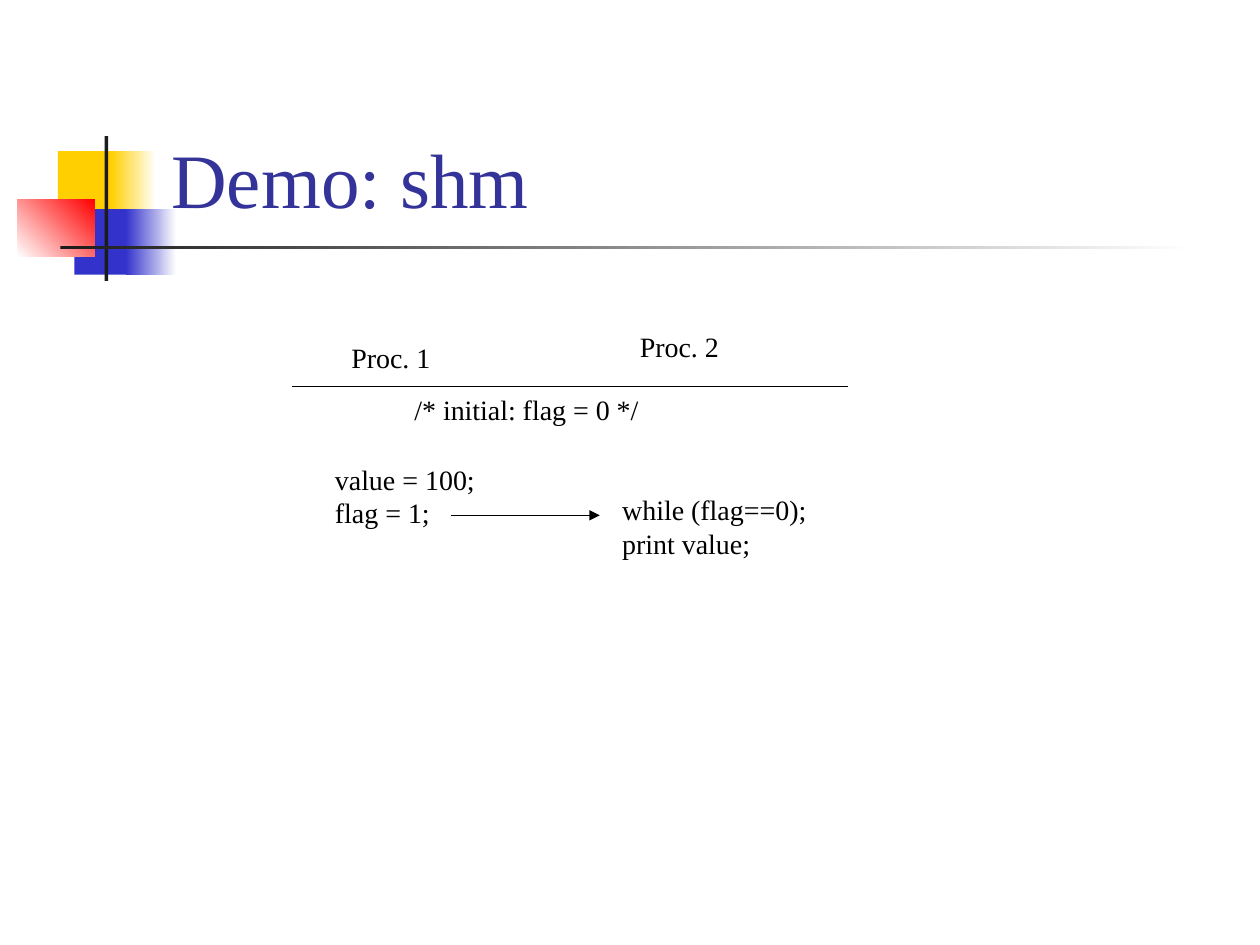
from typing import NamedTuple, Optional

from pptx import Presentation
from pptx.dml.color import RGBColor
from pptx.enum import shapes, text
from pptx.oxml import parse_xml
from pptx.oxml.ns import nsdecls
from pptx.util import Inches, Pt

WHITE = RGBColor(0xFF, 0xFF, 0xFF)
BLACK = RGBColor(0, 0, 0)
YELLOW = RGBColor(0xFF, 0xCF, 0x01)
BLUE = RGBColor(0x33, 0x33, 0xCC)
RED = RGBColor(0xFF, 0, 0)
CHARCOAL = RGBColor(0x1C, 0x1C, 0x1C)
INDIGO = RGBColor(0x33, 0x33, 0x99)
FONT = "Times New Roman"


class Block(NamedTuple):
    left: float
    top: float
    width: float
    height: float
    color: RGBColor
    fade_to: Optional[RGBColor] = None
    angle: float = 0


class Label(NamedTuple):
    left: float
    top: float
    width: float
    height: float
    lines: tuple[str, ...]
    wrap: bool = False


class Rule(NamedTuple):
    left: float
    right: float
    y: float
    arrow: bool = False


EMBLEM = (
    Block(0.46, 1.2, 0.48, 0.52, YELLOW),
    Block(0.88, 1.2, 0.36, 0.52, YELLOW, WHITE),
    Block(0.59, 1.66, 0.46, 0.52, BLUE),
    Block(1, 1.66, 0.4, 0.52, BLUE, WHITE),
    Block(0.14, 1.58, 0.61, 0.46, WHITE, RED, 45),
    Block(0.83, 1.08, 0.03, 1.15, CHARCOAL),
    Block(0.48, 1.95, 9, 0.03, CHARCOAL, WHITE),
)
LABELS = (
    Label(2.56, 3.62, 1.32, 0.64, ("value = 100;", "flag = 1;"), True),
    Label(4.84, 3.86, 1.67, 0.64, ("while (flag==0);", "print value;")),
    Label(2.69, 2.65, 0.83, 0.37, ("Proc. 1",)),
    Label(4.98, 2.57, 0.83, 0.37, ("Proc. 2",)),
    Label(3.19, 3.07, 1.99, 0.37, ("/* initial: flag = 0 */",)),
)
RULES = (Rule(2.32, 6.73, 3.07), Rule(3.58, 4.76, 4.09, True))


def draw_block(slide, block: Block) -> None:
    """Draw a borderless rectangle with a solid or fading fill."""
    rect = slide.shapes.add_shape(
        shapes.MSO_SHAPE.RECTANGLE, *(Inches(v) for v in block[:4]))
    rect.shadow.inherit = False
    rect.line.fill.background()
    if block.fade_to is None:
        rect.fill.solid()
        rect.fill.fore_color.rgb = block.color
        return
    rect.fill.gradient()
    rect.fill.gradient_angle = block.angle
    stops = rect.fill.gradient_stops
    for stop, position, color in zip(stops, (0, 1), (block.color, block.fade_to)):
        stop.position = position
        stop.color.rgb = color


def write_run(paragraph, words: str, size: float, color: RGBColor) -> None:
    """Add one left-aligned run to a paragraph."""
    paragraph.alignment = text.PP_ALIGN.LEFT
    run = paragraph.add_run()
    run.text = words
    run.font.name = FONT
    run.font.size = Pt(size)
    run.font.color.rgb = color


def draw_label(slide, label: Label) -> None:
    """Draw a text box with one paragraph per line."""
    frame = slide.shapes.add_textbox(*(Inches(v) for v in label[:4])).text_frame
    frame.word_wrap = label.wrap
    frame.auto_size = text.MSO_AUTO_SIZE.SHAPE_TO_FIT_TEXT
    for index, words in enumerate(label.lines):
        paragraph = frame.add_paragraph() if index else frame.paragraphs[0]
        write_run(paragraph, words, 16, BLACK)


def draw_rule(slide, rule: Rule) -> None:
    """Draw a thin horizontal line, optionally ending in an arrowhead."""
    line = slide.shapes.add_connector(
        shapes.MSO_CONNECTOR.STRAIGHT, Inches(rule.left), Inches(rule.y),
        Inches(rule.right), Inches(rule.y))
    line.line.color.rgb = BLACK
    line.line.width = Pt(0.75)
    if rule.arrow:
        line.line._get_or_add_ln().append(
            parse_xml(f'<a:tailEnd {nsdecls("a")} type="triangle"/>'))
    line._element.spPr.append(parse_xml(f'<a:effectLst {nsdecls("a")}/>'))


def place_title(slide, words: str) -> None:
    """Position and write the title in front of the emblem."""
    title = slide.shapes.title
    title.left, title.top = Inches(1.26), Inches(0.23)
    title.width, title.height = Inches(8.52), Inches(1.6)
    frame = title.text_frame
    frame.word_wrap = True
    frame.auto_size = text.MSO_AUTO_SIZE.NONE
    frame.vertical_anchor = text.MSO_ANCHOR.BOTTOM
    write_run(frame.paragraphs[0], words, 44, INDIGO)
    title._element.getparent().append(title._element)


def main() -> None:
    """Build the shared-memory demo slide."""
    deck = Presentation()
    deck.slide_width, deck.slide_height = Inches(10), Inches(7.5)
    slide = deck.slides.add_slide(deck.slide_layouts[5])
    for block in EMBLEM:
        draw_block(slide, block)
    place_title(slide, "Demo: shm")
    for label in LABELS:
        draw_label(slide, label)
    for rule in RULES:
        draw_rule(slide, rule)
    deck.save("out.pptx")


main()
